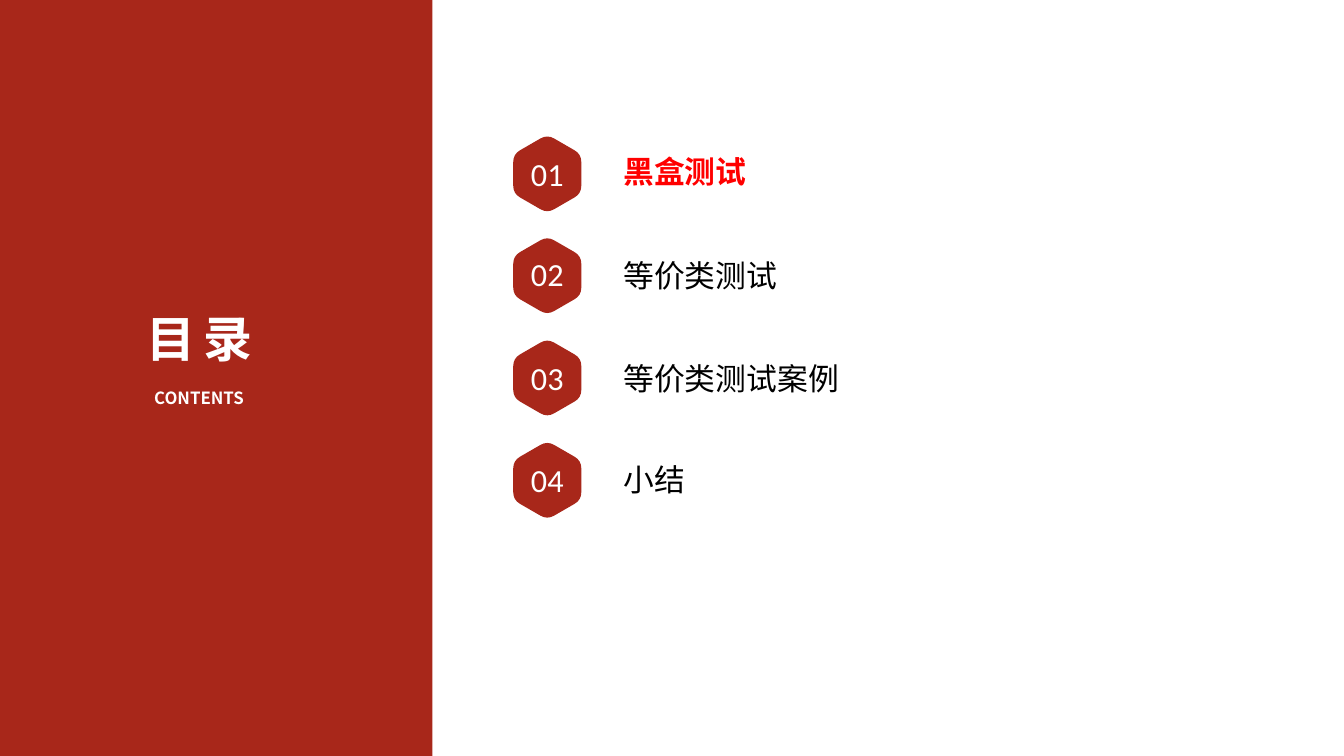
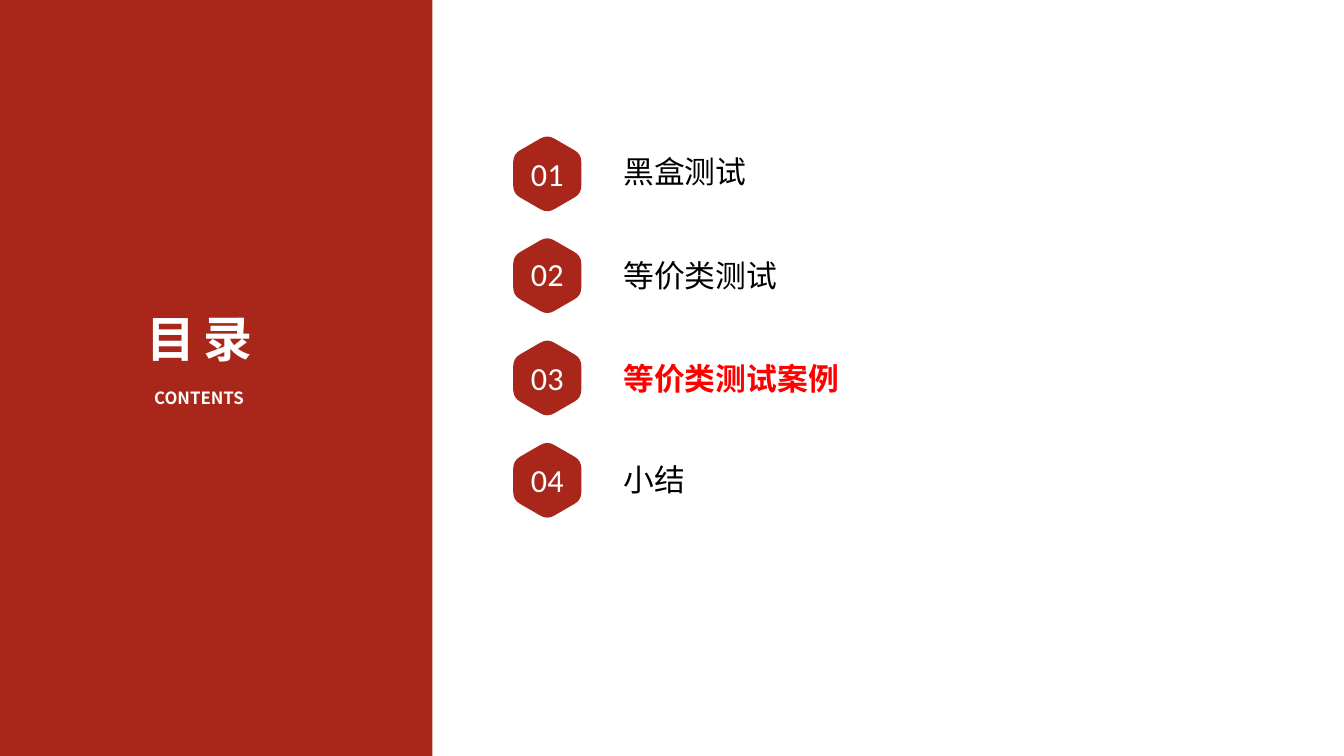
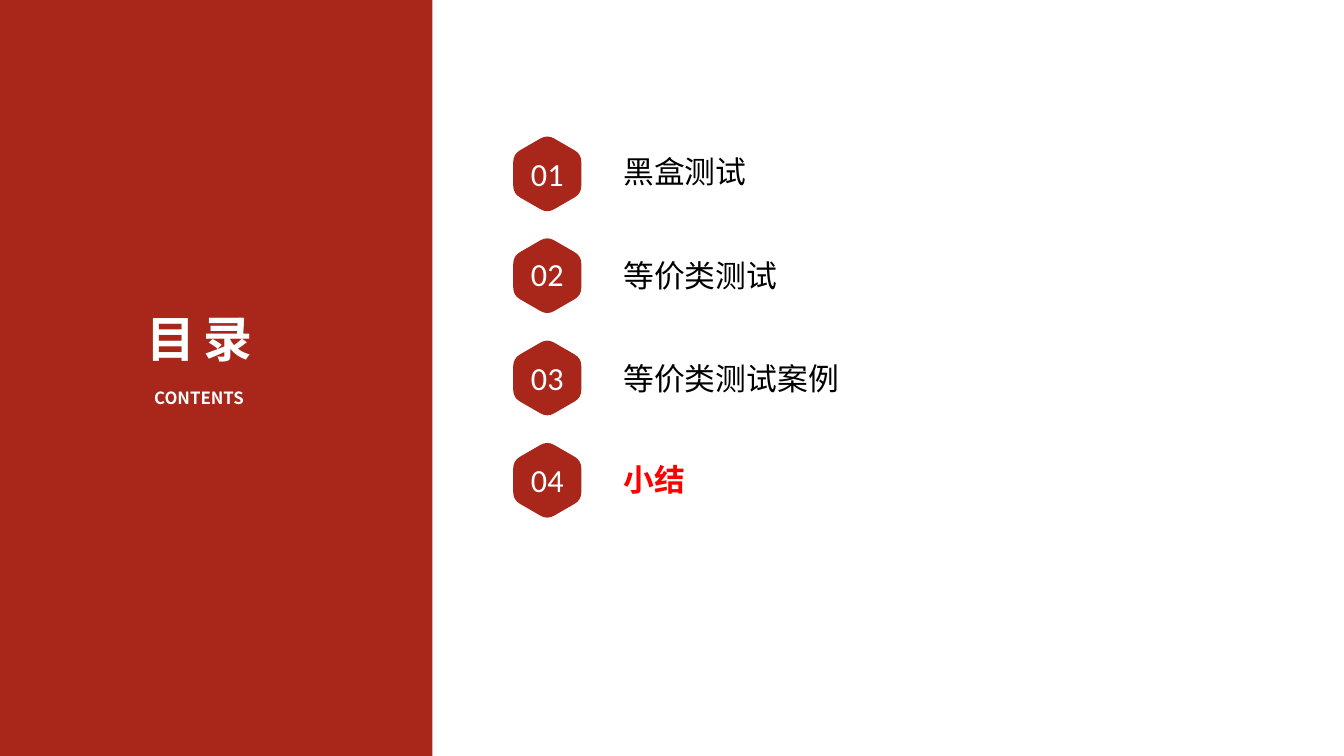
import math

from pptx import Presentation
from pptx import util as u
from pptx.dml.color import RGBColor
from pptx.enum import shapes, text
from pptx.oxml.ns import qn

PX = u.Inches(1) // 100  # one px is a hundredth of an inch
SLIDE_W, SLIDE_H = 2667, 1500

# Chapter: title, title top, title width, title height, number top
CHAPTERS = [
    ("黑盒测试", 298, 418, 93, 292),
    ("等价类测试", 504, 418, 78, 490),
    ("等价类测试案例", 709, 503, 76, 697),
    ("小结", 910, 270, 86, 900),
]
CURRENT_CHAPTERS = [0, 2, 3]  # the chapter highlighted on each slide


def px(length):
    return u.Emu(round(length * PX))


def rgb(hex_color):
    return RGBColor.from_string(hex_color)


class Deck:
    BRAND, WHITE, BLACK, HIGHLIGHT = "A8271A", "FFFFFF", "000000", "FF0000"
    CJK_FONT, NUMBER_FONT = "Noto Sans CJK SC", "Calibri"
    INSET = 5

    def __init__(self):
        self.prs = Presentation()
        self.prs.slide_width, self.prs.slide_height = px(SLIDE_W), px(SLIDE_H)
        self.slide = None

    def new_slide(self):
        self.slide = self.prs.slides.add_slide(self.prs.slide_layouts[6])
        background = self.slide.background.fill
        background.solid()
        background.fore_color.rgb = rgb(self.WHITE)

    def paint(self, shape):
        shape.shadow.inherit = False
        shape.fill.solid()
        shape.fill.fore_color.rgb = rgb(self.BRAND)
        shape.line.fill.background()

    def panel(self, left, top, width, height):
        self.paint(self.slide.shapes.add_shape(
            shapes.MSO_SHAPE.RECTANGLE, px(left), px(top), px(width), px(height)))

    def hexagon(self, center_x, center_y, radius=78, cut=0.2):
        """Regular hexagon whose corners are rounded over a share of each edge."""
        corners = [(center_x + radius * math.cos(math.radians(60 * i)),
                    center_y + radius * math.sin(math.radians(60 * i))) for i in range(6)]
        points = []
        for i, corner in enumerate(corners):
            before, after = corners[i - 1], corners[(i + 1) % 6]
            for t in (0, 0.25, 0.5, 0.75, 1):
                points.append([px(c + cut * ((1 - t) ** 2 * (b - c) + t ** 2 * (a - c)))
                               for b, c, a in zip(before, corner, after)])
        outline = self.slide.shapes.build_freeform(*points[0], scale=1.0)
        outline.add_line_segments(points[1:], close=True)
        badge = outline.convert_to_shape()
        badge.rotation = 90
        self.paint(badge)

    def text(self, content, left, top, width, height, size, color, font=CJK_FONT,
             bold=False, centered=True, middle=False, spacing=None):
        frame = self.slide.shapes.add_textbox(
            px(left), px(top), px(width), px(height)).text_frame
        frame.word_wrap = True
        frame.margin_left = frame.margin_right = px(self.INSET)
        frame.margin_top = frame.margin_bottom = px(self.INSET)
        frame.vertical_anchor = text.MSO_ANCHOR.MIDDLE if middle else text.MSO_ANCHOR.TOP
        frame.text = content
        paragraph = frame.paragraphs[0]
        paragraph.alignment = text.PP_ALIGN.CENTER if centered else text.PP_ALIGN.LEFT
        run = paragraph.runs[0]
        run.font.size, run.font.bold, run.font.name = u.Pt(size), bold, font
        run.font.color.rgb = rgb(color)
        properties = run.font._element
        east_asian = properties.makeelement(qn("a:ea"), {"typeface": font})
        properties.find(qn("a:latin")).addnext(east_asian)
        if spacing:
            properties.set("spc", str(round(spacing * 100)))

    def contents_panel(self):
        self.panel(0, 0, 858, SLIDE_H)
        self.text("CONTENTS", 187, 764, 416, 99, 24, self.WHITE, bold=True)
        self.text("目录", 112, 608, 568, 285, 70, self.WHITE, bold=True, spacing=11.7)

    def chapter(self, index, current):
        title, title_top, title_width, title_height, number_top = CHAPTERS[index]
        self.text(title, 1232, title_top, title_width, title_height, 44,
                  self.HIGHLIGHT if current else self.BLACK, bold=current, centered=False)
        self.hexagon(1086, 345 + 608 * index // 3)
        self.text(f"{index + 1:02d}", 999, number_top, 174, 105, 46, self.WHITE,
                  font=self.NUMBER_FONT, middle=True)


def main():
    deck = Deck()
    for current in CURRENT_CHAPTERS:
        deck.new_slide()
        deck.contents_panel()
        for index in range(len(CHAPTERS)):
            deck.chapter(index, index == current)
    deck.prs.save("out.pptx")


if __name__ == "__main__":
    main()
